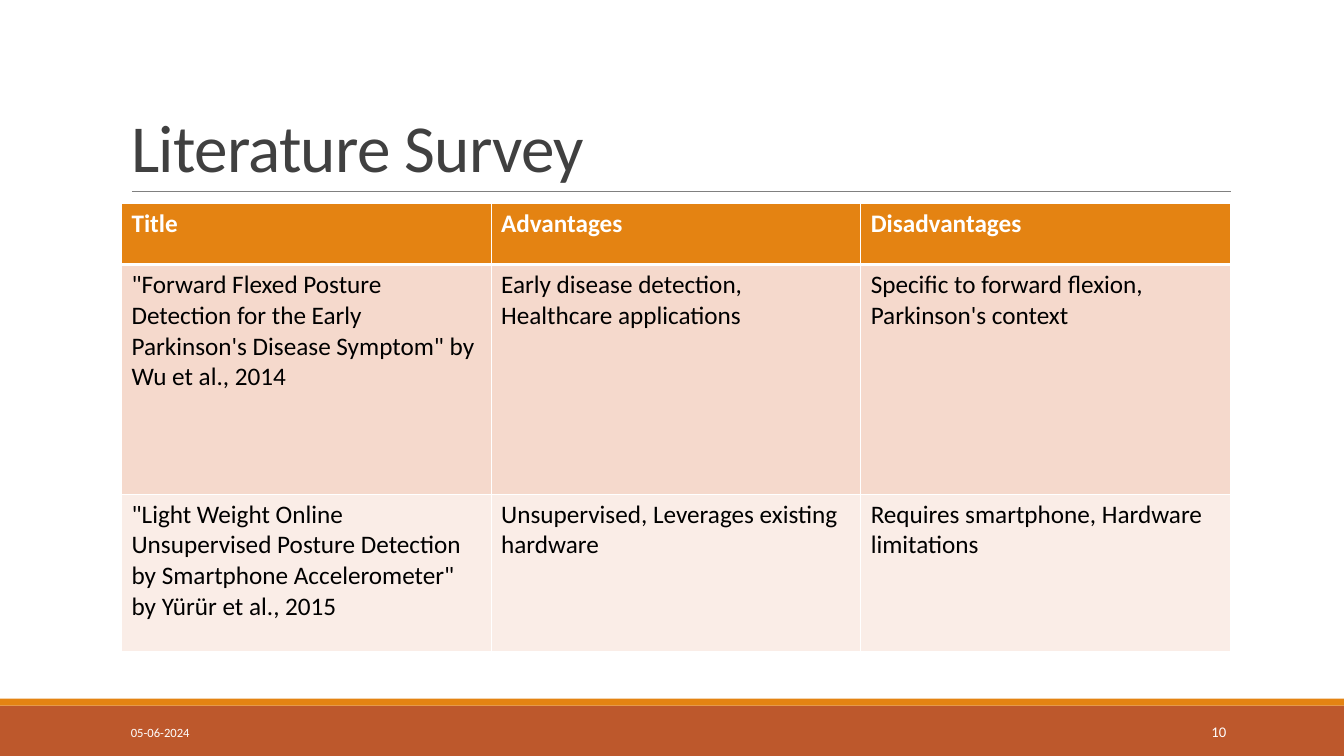
from dataclasses import dataclass

from lxml.etree import SubElement
from pptx import Presentation
from pptx.dml.color import RGBColor
from pptx.enum.shapes import MSO_CONNECTOR, MSO_SHAPE
from pptx.enum.text import MSO_ANCHOR, PP_ALIGN
from pptx.oxml.ns import qn
from pptx.util import Pt

COLORS = {
    "white": "FFFFFF",
    "black": "000000",
    "title": "404040",
    "rule": "808080",
    "orange": "E48312",
    "rust": "BD582C",
    "row_dark": "F5D9CC",
    "row_light": "FAEDE7",
}
FONT = "Calibri"


@dataclass
class Band:
    top: float
    height: float
    color: str


@dataclass
class FooterText:
    text: str
    left: float
    width: float
    size: float
    align: PP_ALIGN


@dataclass
class SurveyRow:
    texts: tuple[str, str, str]
    height: float
    fill: str
    color: str = "black"
    bold: bool = False
    top_border: float = 1
    bottom_border: float = 1


BANDS = [Band(504, 36, "rust"), Band(499, 5, "orange")]
FOOTERS = [
    FooterText("05-06-2024", 86.4, 194.4, 9, PP_ALIGN.LEFT),
    FooterText("10", 780, 103, 10.5, PP_ALIGN.RIGHT),
]
ROWS = [
    SurveyRow(("Title", "Advantages", "Disadvantages"), 43.5, "orange",
              color="white", bold=True, bottom_border=3),
    SurveyRow((
        "\"Forward Flexed Posture Detection for the Early Parkinson's Disease Symptom\" by Wu et al., 2014",
        "Early disease detection, Healthcare applications",
        "Specific to forward flexion, Parkinson's context",
    ), 164, "row_dark", top_border=3),
    SurveyRow((
        "\"Light Weight Online Unsupervised Posture Detection by Smartphone Accelerometer\" by Yürür et al., 2015",
        "Unsupervised, Leverages existing hardware",
        "Requires smartphone, Hardware limitations",
    ), 112.3, "row_light"),
]


def rgb(name: str) -> RGBColor:
    return RGBColor.from_string(COLORS[name])


def write_text(frame, text: str, *, size: float, color: str, bold: bool = False,
               align: PP_ALIGN = PP_ALIGN.LEFT, anchor: MSO_ANCHOR = MSO_ANCHOR.TOP,
               line_spacing: float = 1.0, tracking: float = 0) -> None:
    frame.word_wrap = True
    frame.vertical_anchor = anchor
    para = frame.paragraphs[0]
    para.alignment = align
    para.line_spacing = line_spacing
    span = para.add_run()
    span.text = text
    span.font.name = FONT
    span.font.size = Pt(size)
    span.font.bold = bold
    span.font.color.rgb = rgb(color)
    if tracking:
        span.font._element.set("spc", str(round(tracking * 100)))


def add_band(page, band: Band) -> None:
    box = page.shapes.add_shape(MSO_SHAPE.RECTANGLE, 0, Pt(band.top), Pt(960), Pt(band.height))
    box.shadow.inherit = False
    box.fill.solid()
    box.fill.fore_color.rgb = rgb(band.color)
    box.line.fill.background()


def add_title_rule(page) -> None:
    rule = page.shapes.add_connector(MSO_CONNECTOR.STRAIGHT, Pt(94.3), Pt(136.8), Pt(879), Pt(136.8))
    rule.line.color.rgb = rgb("rule")
    rule.line.width = Pt(0.5)
    SubElement(rule._element.spPr, qn("a:effectLst"))


def add_title(page, text: str) -> None:
    title = page.shapes.title
    title.left, title.top, title.width, title.height = Pt(86.4), Pt(22.5), Pt(792), Pt(114.3)
    write_text(title.text_frame, text, size=48, color="title", anchor=MSO_ANCHOR.BOTTOM,
               line_spacing=0.85, tracking=-0.5)


def set_borders(cell, top: float, bottom: float) -> None:
    properties = cell._tc.get_or_add_tcPr()
    for side, width in {"L": 1, "R": 1, "T": top, "B": bottom}.items():
        edge = SubElement(properties, qn(f"a:ln{side}"), w=str(Pt(width)))
        SubElement(SubElement(edge, qn("a:solidFill")), qn("a:srgbClr"), val=COLORS["white"])


def add_survey_table(page, rows: list[SurveyRow]) -> None:
    height = sum(row.height for row in rows)
    table = page.shapes.add_table(len(rows), 3, Pt(86.8), Pt(145.5), Pt(792), Pt(height)).table
    for column in table.columns:
        column.width = Pt(264)
    for index, row in enumerate(rows):
        table.rows[index].height = Pt(row.height)
        for cell, text in zip(table.rows[index].cells, row.texts):
            set_borders(cell, row.top_border, row.bottom_border)
            cell.fill.solid()
            cell.fill.fore_color.rgb = rgb(row.fill)
            write_text(cell.text_frame, text, size=18, color=row.color, bold=row.bold)


def add_footer(page, footer: FooterText) -> None:
    box = page.shapes.add_textbox(Pt(footer.left), Pt(508.5), Pt(footer.width), Pt(28.8))
    write_text(box.text_frame, footer.text, size=footer.size, color="white",
               align=footer.align, anchor=MSO_ANCHOR.MIDDLE)


def main() -> None:
    deck = Presentation()
    deck.slide_width, deck.slide_height = Pt(960), Pt(540)
    page = deck.slides.add_slide(deck.slide_layouts[5])

    # Bottom bands and rule under the title
    for band in BANDS:
        add_band(page, band)
    add_title_rule(page)

    # Title and survey
    add_title(page, "Literature Survey")
    add_survey_table(page, ROWS)

    # Date and page number
    for footer in FOOTERS:
        add_footer(page, footer)

    deck.save("out.pptx")


if __name__ == "__main__":
    main()
